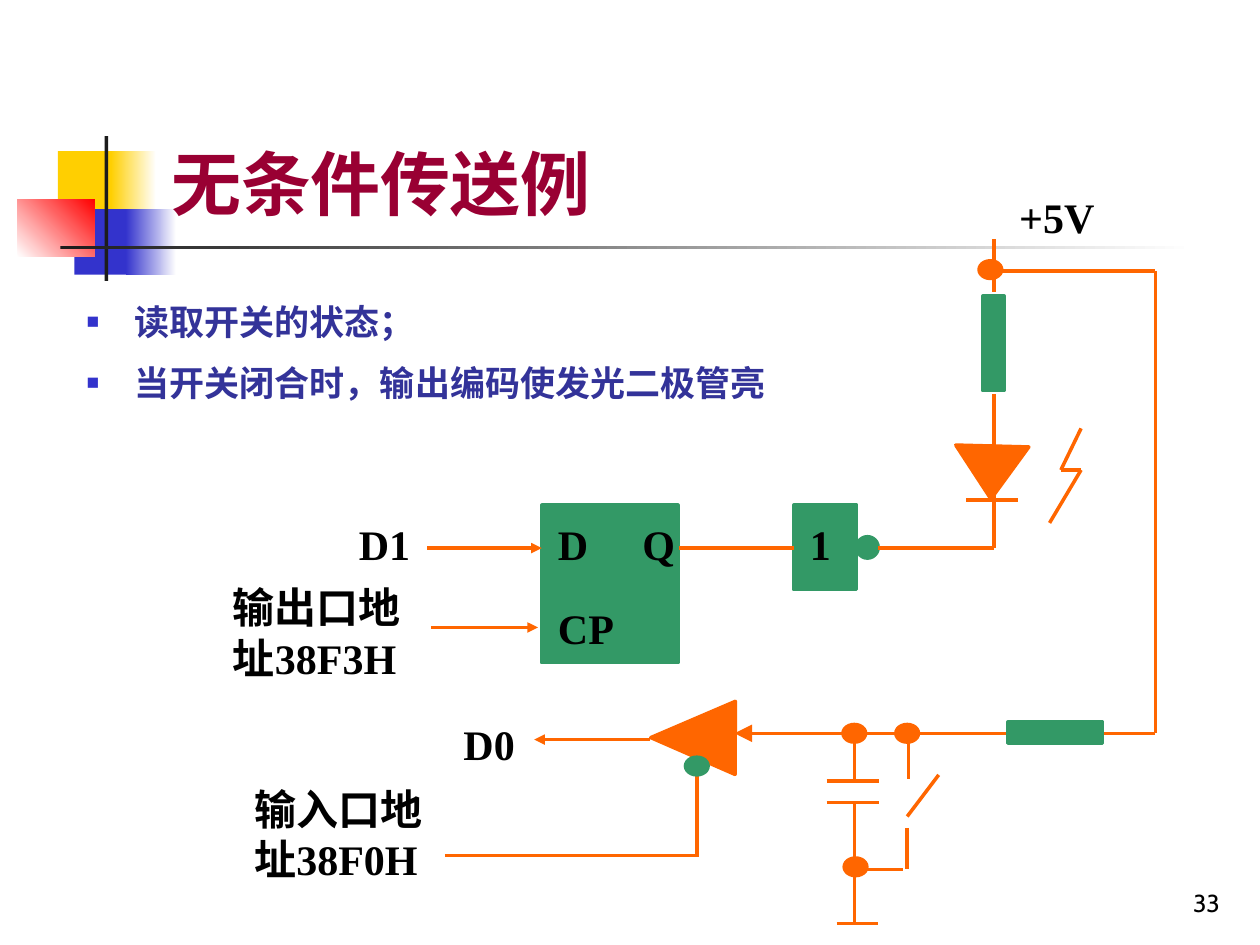
from lxml import etree
from pptx import Presentation
from pptx.dml.color import RGBColor
from pptx.enum.shapes import MSO_CONNECTOR, MSO_SHAPE
from pptx.enum.text import MSO_ANCHOR, PP_ALIGN
from pptx.oxml.ns import qn
from pptx.util import Inches, Pt

BLACK = RGBColor(0x00, 0x00, 0x00)
WHITE = RGBColor(0xFF, 0xFF, 0xFF)
CHARCOAL = RGBColor(0x1C, 0x1C, 0x1C)
YELLOW = RGBColor(0xFF, 0xCF, 0x01)
BLUE = RGBColor(0x33, 0x33, 0xCC)
RED = RGBColor(0xFF, 0x00, 0x00)
MAROON = RGBColor(0x99, 0x00, 0x33)
NAVY = RGBColor(0x33, 0x33, 0x99)
ORANGE = RGBColor(0xFF, 0x66, 0x00)
GREEN = RGBColor(0x33, 0x99, 0x66)

RECT, OVAL, TRIANGLE = MSO_SHAPE.RECTANGLE, MSO_SHAPE.OVAL, MSO_SHAPE.ISOSCELES_TRIANGLE

deck = Presentation()
deck.slide_width, deck.slide_height = Inches(10), Inches(7.5)
page = deck.slides.add_slide(deck.slide_layouts[6])


def add_block(kind, place, color, fade_to=None, angle=0, outline=True, rotation=0):
    shape = page.shapes.add_shape(kind, *[Inches(value) for value in place])
    shape.shadow.inherit = False
    shape.rotation = rotation
    if fade_to is None:
        shape.fill.solid()
        shape.fill.fore_color.rgb = color
    else:
        shape.fill.gradient()
        shape.fill.gradient_angle = angle
        for stop, stop_color, position in zip(shape.fill.gradient_stops, (color, fade_to), (0, 1)):
            stop.color.rgb = stop_color
            stop.position = position
    if outline:
        shape.line.color.rgb = color
        shape.line.width = Pt(2)
    else:
        shape.line.fill.background()


def add_text(text, place, size=24, font="Times New Roman", color=BLACK, bold=True,
             align=PP_ALIGN.LEFT, anchor=MSO_ANCHOR.TOP, bullet=None, spacing=None, gap=0):
    box = page.shapes.add_textbox(*[Inches(value) for value in place])
    frame = box.text_frame
    frame.word_wrap = True
    frame.vertical_anchor = anchor
    for number, line in enumerate(text.split("\n")):
        para = frame.paragraphs[0] if number == 0 else frame.add_paragraph()
        para.alignment = align
        if spacing:
            para.line_spacing = spacing
        if number:
            para.space_before = Pt(gap)
        if bullet:
            properties = para._p.get_or_add_pPr()
            properties.set("marL", str(Inches(0.38)))
            properties.set("indent", str(-Inches(0.38)))
            bullet_color = etree.SubElement(properties, qn("a:buClr"))
            etree.SubElement(bullet_color, qn("a:srgbClr")).set("val", str(BLUE))
            etree.SubElement(properties, qn("a:buSzPct")).set("val", "60000")
            etree.SubElement(properties, qn("a:buFont")).set("typeface", "Arial")
            etree.SubElement(properties, qn("a:buChar")).set("char", bullet)
        span = para.add_run()
        span.text = line
        span.font.size, span.font.name, span.font.bold = Pt(size), font, bold
        span.font.color.rgb = color


# Corner ornament and title rule
for place, color, fade_to, angle in [
    ((0.46, 1.2, 0.48, 0.52), YELLOW, None, 0),
    ((0.88, 1.2, 0.36, 0.52), YELLOW, WHITE, 0),
    ((0.59, 1.66, 0.46, 0.52), BLUE, None, 0),
    ((1, 1.66, 0.4, 0.52), BLUE, WHITE, 0),
    ((0.14, 1.58, 0.61, 0.46), WHITE, RED, 45),
    ((0.83, 1.08, 0.03, 1.15), CHARCOAL, None, 0),
    ((0.48, 1.95, 9, 0.03), CHARCOAL, WHITE, 0),
]:
    add_block(RECT, place, color, fade_to, angle, outline=False)

# Title, bullets and page number
add_text("无条件传送例", (1.26, 0.23, 8.52, 1.6), size=40, font="Arial",
         color=MAROON, anchor=MSO_ANCHOR.BOTTOM)
add_text("读取开关的状态；\n当开关闭合时，输出编码使发光二极管亮", (0.59, 2.25, 8.03, 3.83),
         size=20, font="Arial", color=NAVY, bullet="■", spacing=1.25, gap=5)
add_text("33", (7.7, 6.83, 2.08, 0.5), size=14, font="Cabin", bold=False,
         align=PP_ALIGN.RIGHT, anchor=MSO_ANCHOR.BOTTOM)

# Flip-flop, inverter and its bubble
add_block(RECT, (4.3, 4.01, 1.08, 1.25), GREEN)
add_block(RECT, (6.3, 4.01, 0.5, 0.67), GREEN)
add_block(OVAL, (6.8, 4.26, 0.17, 0.17), GREEN)

# Tri-state buffer and light-emitting diode
add_block(TRIANGLE, (5.21, 5.52, 0.58, 0.67), ORANGE, rotation=270.2)
add_block(TRIANGLE, (7.58, 3.54, 0.58, 0.42), ORANGE, rotation=181.5)

# Wires: start, end and arrowhead size
for x1, y1, x2, y2, arrow in [
    # Output port
    (3.39, 4.35, 4.3, 4.35, "med"),
    (3.42, 4.98, 4.27, 4.98, "med"),
    (5.39, 4.35, 6.3, 4.35, None),
    (6.97, 4.35, 7.89, 4.35, None),
    # Diode branch and supply
    (7.89, 3.85, 7.89, 4.35, None),
    (7.67, 3.97, 8.08, 3.97, None),
    (7.89, 3.13, 7.89, 3.55, None),
    (7.89, 1.9, 7.89, 2.32, None),
    (7.92, 2.15, 9.17, 2.15, None),
    (9.17, 2.15, 9.17, 5.82, None),
    # Light flash
    (8.58, 3.4, 8.42, 3.73, None),
    (8.42, 3.73, 8.58, 3.73, None),
    (8.58, 3.73, 8.33, 4.15, None),
    # Input port
    (5.16, 5.87, 4.24, 5.87, "med"),
    (6.75, 5.82, 5.83, 5.82, "lg"),
    (6.78, 5.82, 9.17, 5.82, None),
    (5.53, 6.13, 5.53, 6.8, None),
    (3.53, 6.79, 5.53, 6.79, None),
    # Capacitor and ground
    (6.78, 5.87, 6.78, 6.2, None),
    (6.56, 6.2, 6.98, 6.2, None),
    (6.56, 6.37, 6.98, 6.37, None),
    (6.78, 6.37, 6.78, 7.33, None),
    (6.64, 7.33, 6.97, 7.33, None),
    # Switch
    (7.21, 5.85, 7.21, 6.18, None),
    (7.45, 6.15, 7.2, 6.48, None),
    (7.2, 6.57, 7.2, 6.9, None),
    (6.83, 6.9, 7.17, 6.9, None),
]:
    wire = page.shapes.add_connector(
        MSO_CONNECTOR.STRAIGHT, Inches(x1), Inches(y1), Inches(x2), Inches(y2))
    wire.line.color.rgb = ORANGE
    wire.line.width = Pt(2)
    if arrow:
        tip = etree.SubElement(wire.line._get_or_add_ln(), qn("a:tailEnd"))
        for name, value in (("type", "triangle"), ("w", arrow), ("len", arrow)):
            tip.set(name, value)
    etree.SubElement(wire._element.spPr, qn("a:effectLst"))

# Resistors
add_block(RECT, (7.8, 2.35, 0.17, 0.75), GREEN)
add_block(RECT, (8.29, 5.44, 0.17, 0.75), GREEN, rotation=90)

# Buffer enable bubble and junction dots
for left, top, color in [(5.44, 6.01, GREEN), (6.7, 6.81, ORANGE), (6.69, 5.75, ORANGE),
                         (7.11, 5.75, ORANGE), (7.77, 2.07, ORANGE)]:
    add_block(OVAL, (left, top, 0.18, 0.14), color)

# Circuit labels
for label, left, top, width, height in [
    ("D", 4.33, 4.07, 0.58, 0.5),
    ("CP", 4.33, 4.73, 0.75, 0.5),
    ("Q", 5, 4.07, 0.58, 0.5),
    ("1", 6.33, 4.07, 0.58, 0.5),
    ("D0", 3.58, 5.65, 0.83, 0.5),
    ("D1", 2.75, 4.07, 0.83, 0.5),
    ("+5V", 7.99, 1.47, 0.83, 0.5),
    ("输出口地址38F3H", 1.75, 4.57, 1.67, 0.9),
    ("输入口地址38F0H", 1.92, 6.17, 1.67, 0.9),
]:
    add_text(label, (left, top, width, height))

deck.save("out.pptx")
